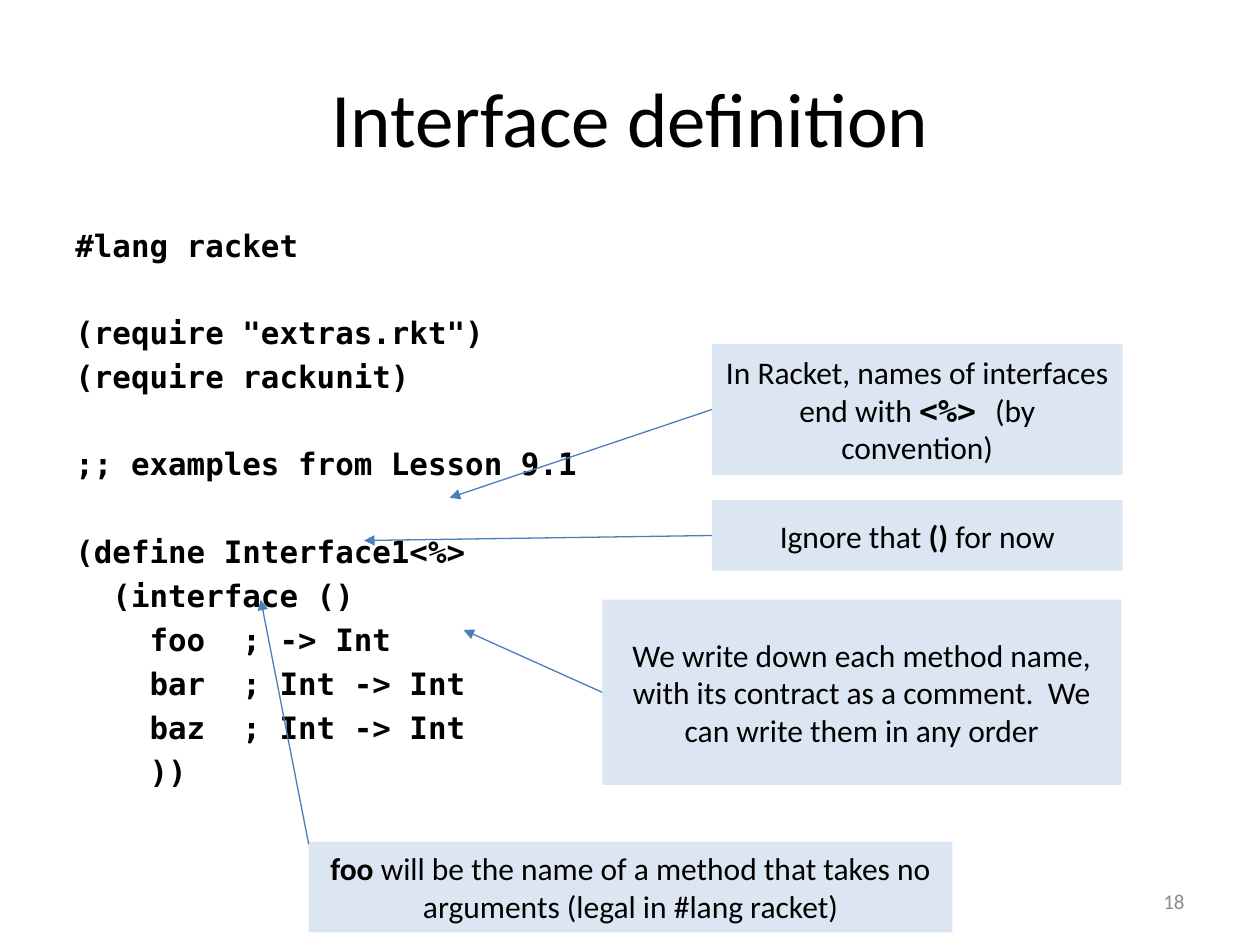
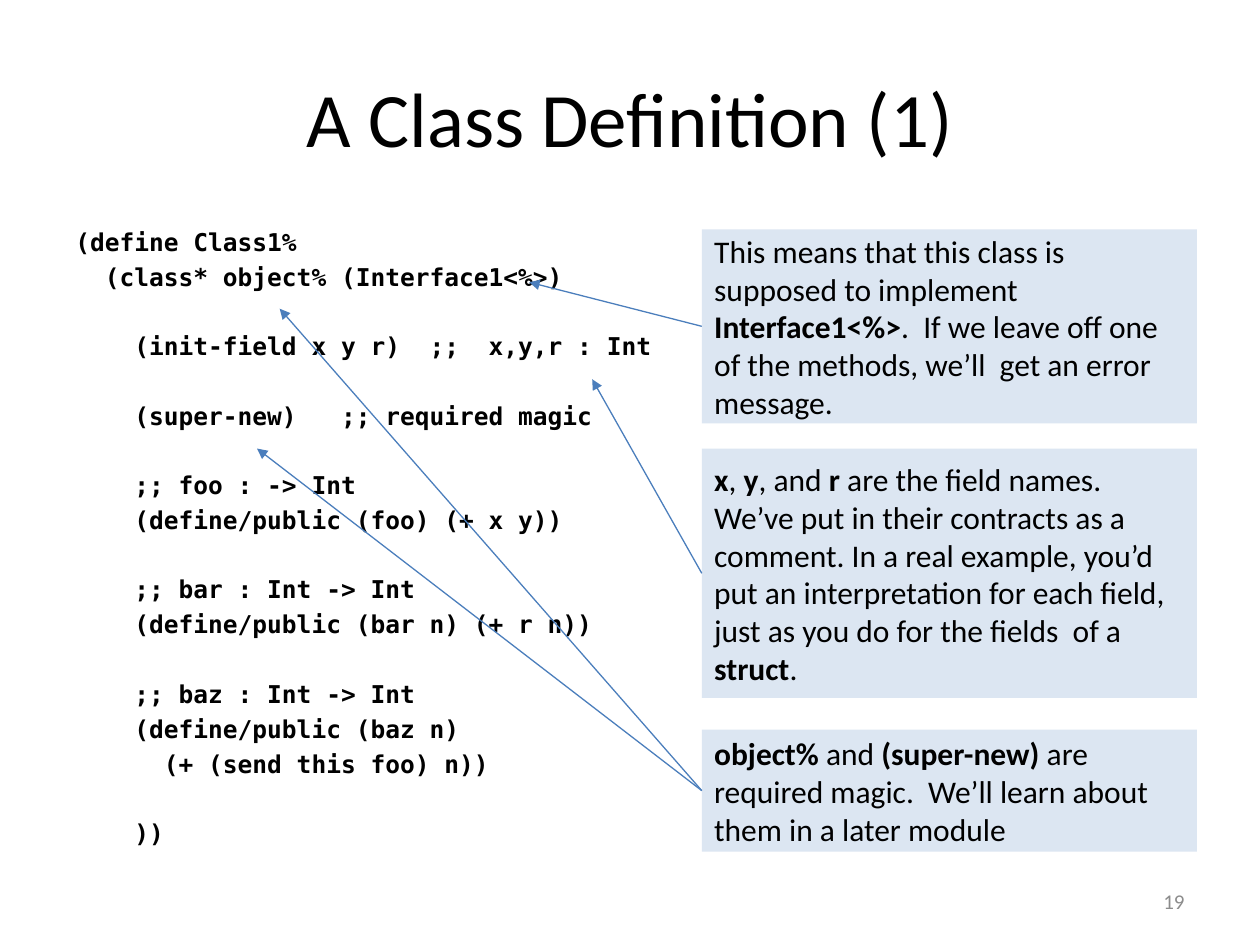
from dataclasses import dataclass
from typing import NamedTuple, Optional

from lxml.etree import SubElement
from pptx import Presentation
from pptx.dml.color import RGBColor
from pptx.enum.shapes import MSO_CONNECTOR as Connector, MSO_SHAPE as Shape
from pptx.enum.text import MSO_ANCHOR as Anchor, PP_ALIGN as Align
from pptx.oxml.ns import qn
from pptx.util import Pt

PX = 9144
COLORS = {"ink": "000000", "callout": "DCE6F2", "arrow": "4B7EBC", "number": "8C8C8C"}
BODY_FONT = "Calibri"
CODE_FONT = "DejaVu Sans Mono"
CODE_LINE = 1.164
CODE_GAP = 0.2
LEFT_SIDE = 1


class Box(NamedTuple):
    """A rectangle in px, at 100 px to the inch."""
    left: int
    top: int
    width: int
    height: int

    def emu(self) -> list:
        """Return the four lengths in EMU."""
        return [length * PX for length in self]


TITLE_BOX = Box(50, 30, 900, 125)
CODE_BOX = Box(50, 175, 900, 495)
NUMBER_BOX = Box(717, 695, 233, 40)


@dataclass
class Callout:
    """A remark with arrows to the code; backticks mark its bold words."""
    box: Box
    remark: str
    targets: list
    bold_font: str = BODY_FONT
    arrow_top: Optional[int] = None


@dataclass
class Lesson:
    """The content of one slide."""
    title: str
    number: int
    code: str
    code_size: float
    callouts: list
    align: Align


INTERFACE_CODE = """\
#lang racket

(require "extras.rkt")
(require rackunit)

;; examples from Lesson 9.1

(define Interface1<%>
  (interface ()
    foo  ; -> Int
    bar  ; Int -> Int
    baz  ; Int -> Int
    ))"""

CLASS_CODE = """\
(define Class1%
  (class* object% (Interface1<%>)

    (init-field x y r)  ;;  x,y,r : Int

    (super-new)   ;; required magic

    ;; foo : -> Int
    (define/public (foo) (+ x y))

    ;; bar : Int -> Int
    (define/public (bar n) (+ r n))

    ;; baz : Int -> Int
    (define/public (baz n)
      (+ (send this foo) n))

    ))"""

LESSONS = [
    Lesson("Interface definition", 18, INTERFACE_CODE, 17.6, [
        Callout(Box(565, 273, 326, 104),
                "In Racket, names of interfaces end with `<%> `(by convention)",
                [(357, 395)], bold_font=CODE_FONT),
        Callout(Box(565, 397, 326, 56), "Ignore that` () `for now", [(289, 429)]),
        Callout(Box(478, 476, 412, 147),
                "We write down each method name, with its contract as a comment.  "
                "We can write them in any order", [(368, 500)]),
        Callout(Box(245, 668, 511, 72),
                "`foo` will be the name of a method that takes no arguments "
                "(legal in #lang racket)", [(207, 476)], arrow_top=670),
    ], Align.CENTER),
    Lesson("A Class Definition (1)", 19, CLASS_CODE, 14, [
        Callout(Box(557, 182, 393, 154),
                "This means that this class is supposed to implement `Interface1<%>`.  "
                "If we leave off one of the methods, we’ll  get an error message.",
                [(420, 224)]),
        Callout(Box(557, 356, 393, 198),
                "`x`, `y`, and `r` are the field names.  We’ve put in their contracts "
                "as a comment. In a real example, you’d put an interpretation for each "
                "field, just as you do for the fields  of a `struct`.", [(470, 301)]),
        Callout(Box(557, 579, 393, 97),
                "`object% `and `(super-new) `are required magic.  "
                "We’ll learn about them in a later module", [(222, 245), (204, 356)]),
    ], Align.LEFT),
]


def rgb(name: str) -> RGBColor:
    """Look up a colour by name."""
    return RGBColor.from_string(COLORS[name])


def write_text(shape, text: str, *, size: float, font: str = BODY_FONT,
               bold_font: str = BODY_FONT, color: str = "ink", bold: bool = False,
               align: Align = Align.LEFT, anchor: Anchor = Anchor.MIDDLE) -> None:
    """Write lines into a shape, turning empty lines into space before the next."""
    frame = shape.text_frame
    frame.word_wrap = True
    frame.vertical_anchor = anchor
    gap = size * CODE_LINE * CODE_GAP
    paragraph, skipped = None, 0
    for line in text.split("\n"):
        if not line:
            skipped += 1
            continue
        if paragraph is None:
            paragraph = frame.paragraphs[0]
        else:
            paragraph = frame.add_paragraph()
            paragraph.space_before = Pt(gap + skipped * (size * CODE_LINE + gap))
        skipped = 0
        paragraph.alignment = align
        for index, words in enumerate(line.split("`")):
            if words:
                marked = index % 2 == 1
                run = paragraph.add_run()
                run.text = words
                run.font.size = Pt(size)
                run.font.name = bold_font if marked else font
                run.font.bold = bold or marked
                run.font.color.rgb = rgb(color)


def add_text(slide, box: Box, text: str, **style) -> None:
    """Add a text box."""
    write_text(slide.shapes.add_textbox(*box.emu()), text, **style)


def add_arrow(slide, remark, callout: Callout, target: tuple) -> None:
    """Draw an arrow from the left side of a remark to a place in the code."""
    box = callout.box
    top = callout.arrow_top or box.top + box.height // 2
    ends = [length * PX for length in (box.left, top, *target)]
    arrow = slide.shapes.add_connector(Connector.STRAIGHT, *ends)
    if callout.arrow_top is None:
        arrow.begin_connect(remark, LEFT_SIDE)
    arrow.line.color.rgb = rgb("arrow")
    arrow.line.width = Pt(0.75)
    properties = arrow._element.spPr
    SubElement(properties.find(qn("a:ln")), qn("a:tailEnd"), type="triangle")
    SubElement(properties, qn("a:effectLst"))


def add_callout(slide, callout: Callout, align: Align) -> None:
    """Add a remark on a pale rectangle, with its arrows."""
    remark = slide.shapes.add_shape(Shape.RECTANGLE, *callout.box.emu())
    remark.shadow.inherit = False
    remark.fill.solid()
    remark.fill.fore_color.rgb = rgb("callout")
    remark.line.fill.background()
    write_text(remark, callout.remark, size=18, bold_font=callout.bold_font, align=align)
    for target in callout.targets:
        add_arrow(slide, remark, callout, target)


def add_lesson(deck, lesson: Lesson) -> None:
    """Add one slide with title, code, number and callouts."""
    slide = deck.slides.add_slide(deck.slide_layouts[6])
    add_text(slide, TITLE_BOX, lesson.title, size=44, align=Align.CENTER)
    add_text(slide, CODE_BOX, lesson.code, size=lesson.code_size, font=CODE_FONT,
             bold=True, anchor=Anchor.TOP)
    add_text(slide, NUMBER_BOX, str(lesson.number), size=12, color="number",
             align=Align.RIGHT)
    for callout in lesson.callouts:
        add_callout(slide, callout, lesson.align)


def main() -> None:
    """Build and save the deck."""
    deck = Presentation()
    deck.slide_width, deck.slide_height = 1000 * PX, 750 * PX
    for lesson in LESSONS:
        add_lesson(deck, lesson)
    deck.save("out.pptx")


if __name__ == "__main__":
    main()
